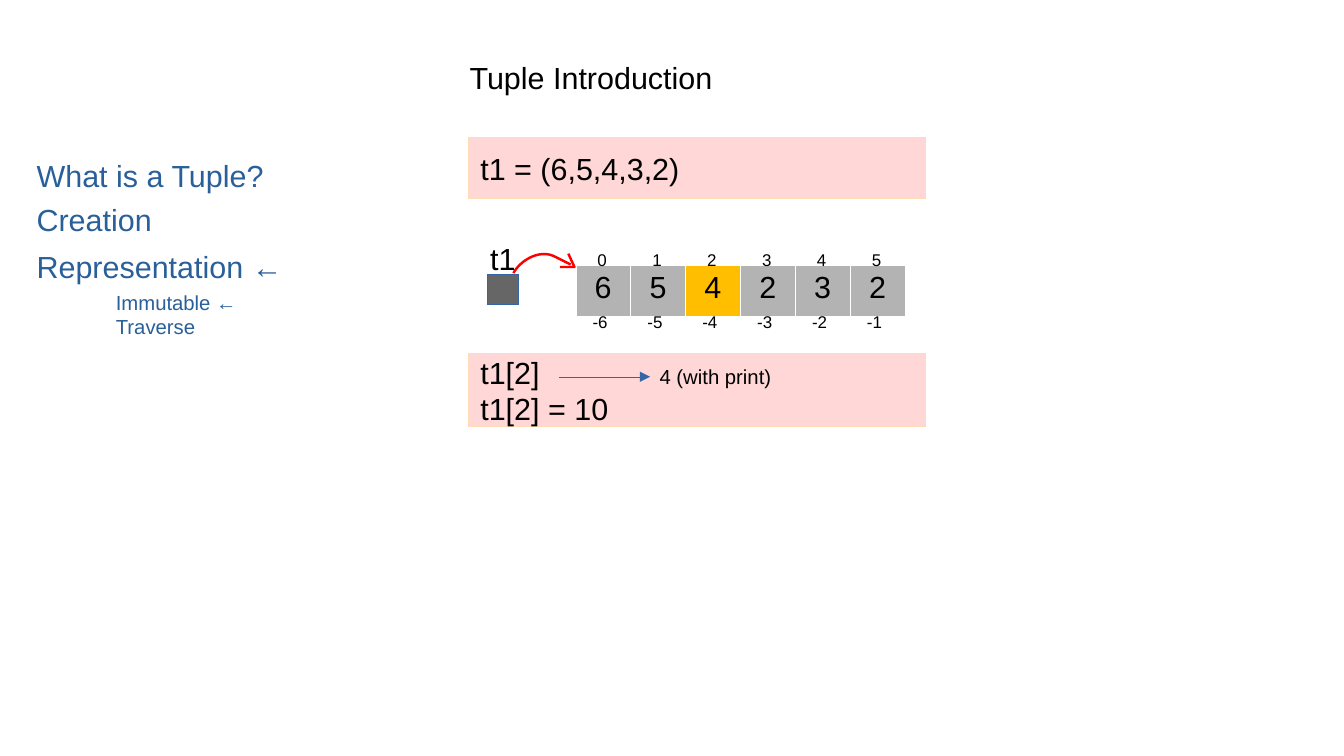
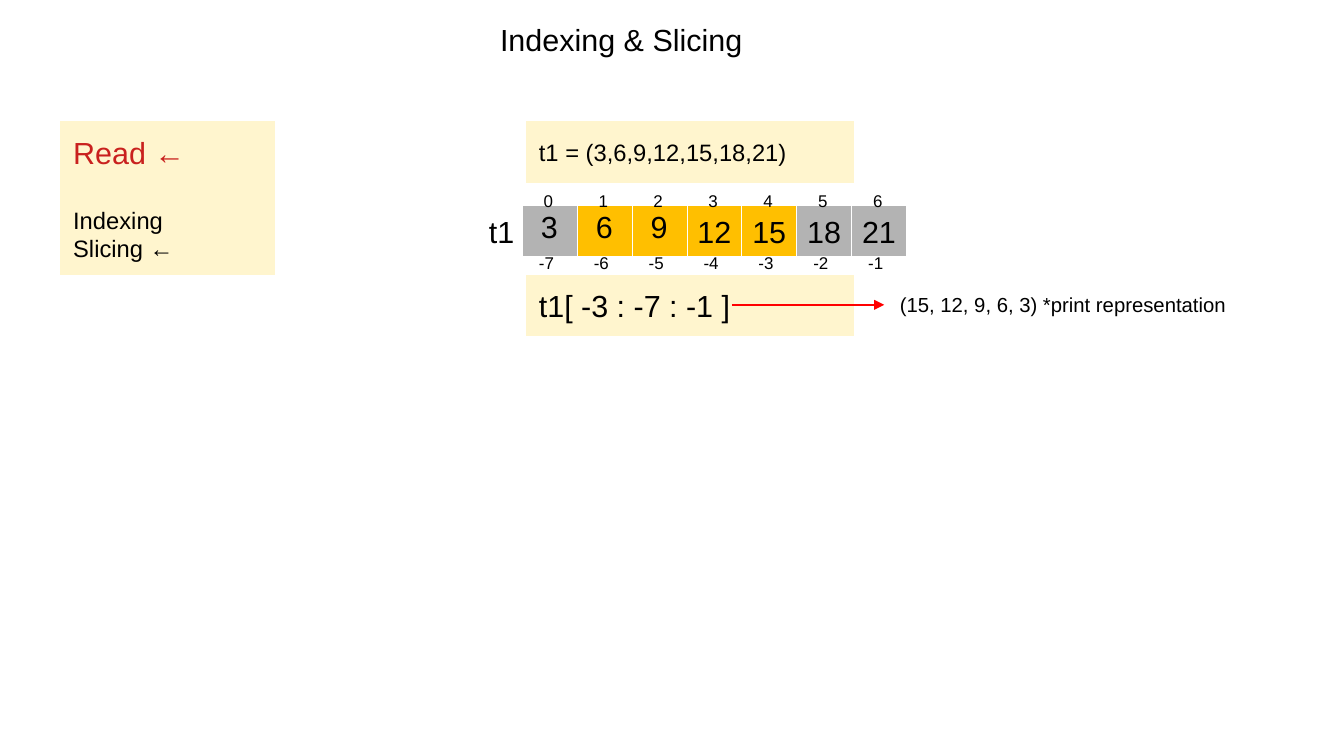
from dataclasses import dataclass

from lxml.etree import SubElement
from pptx import Presentation
from pptx.dml.color import RGBColor
from pptx.enum.shapes import MSO_CONNECTOR, MSO_SHAPE
from pptx.enum.text import MSO_ANCHOR, MSO_AUTO_SIZE, PP_ALIGN
from pptx.oxml.ns import qn
from pptx.util import Inches, Pt


@dataclass(frozen=True)
class Theme:
    """Colours, type sizes and line widths shared by the slides."""

    font: str = "Arial"
    black: str = "000000"
    white: str = "FFFFFF"
    blue: str = "2A6099"
    line_blue: str = "3465A4"
    dark_red: str = "C9211E"
    red: str = "FF0000"
    pink: str = "FFD7D7"
    peach: str = "FFDBB6"
    cream: str = "FFF5CE"
    grey: str = "B3B3B3"
    dark_grey: str = "666666"
    amber: str = "FFBF00"
    large: int = 18
    medium: int = 14
    small: int = 12
    index: int = 10
    stroke: float = 1.45
    hairline: float = 0
    cell_border: float = 0.06


@dataclass(frozen=True)
class ListItem:
    """One line of a list with its style."""

    text: str
    size: int
    color: str
    space_before: float = 0
    indent: float = 0


THEME = Theme()
COLUMN_WIDTH = 0.45
ROW_HEIGHT = 0.42


def rgb(color):
    """Turn a hex string into a colour."""
    return RGBColor.from_string(color)


def place(shape, left, top, width, height):
    """Move and size a shape, in inches."""
    shape.left, shape.top = Inches(left), Inches(top)
    shape.width, shape.height = Inches(width), Inches(height)


def style_line(shape, color, width):
    """Set the line colour and an explicit width, and return the line element."""
    shape.line.color.rgb = rgb(color)
    line = shape._element.spPr.find(qn("a:ln"))
    line.set("w", str(Pt(width)))
    return line


def style_fill(shape, color):
    """Give a shape or cell a solid fill."""
    shape.fill.solid()
    shape.fill.fore_color.rgb = rgb(color)


def format_paragraph(paragraph, size, color=THEME.black, align=PP_ALIGN.LEFT):
    """Set the font and alignment of a paragraph."""
    paragraph.alignment = align
    paragraph.font.name = THEME.font
    paragraph.font.size = Pt(size)
    paragraph.font.color.rgb = rgb(color)


def prepare_frame(shape, anchor=MSO_ANCHOR.TOP):
    """Give a text frame the common wrapping, fitting and anchor."""
    frame = shape.text_frame
    frame.word_wrap = True
    frame.auto_size = MSO_AUTO_SIZE.NONE
    frame.vertical_anchor = anchor
    return frame


def write_text(shape, text, size, anchor=MSO_ANCHOR.TOP):
    """Fill a shape with text in one style."""
    frame = prepare_frame(shape, anchor)
    frame.text = text
    for paragraph in frame.paragraphs:
        format_paragraph(paragraph, size)


def add_slide(presentation, title, left, top):
    """Add a slide with its title placeholder set."""
    slide = presentation.slides.add_slide(presentation.slide_layouts[1])
    place(slide.shapes.title, left, top, 3, 0.38)
    write_text(slide.shapes.title, title, THEME.large)
    return slide


def fill_list(slide, items, box, anchor=MSO_ANCHOR.TOP, fill=None):
    """Write the list items into the body placeholder."""
    body = slide.placeholders[1]
    place(body, *box)
    if fill:
        style_fill(body, fill)
        style_line(body, fill, THEME.hairline)
    frame = prepare_frame(body, anchor)
    frame.text = "\n".join(item.text for item in items)
    for paragraph, item in zip(frame.paragraphs, items):
        properties = paragraph._p.get_or_add_pPr()
        properties.set("marL", str(Inches(item.indent)))
        properties.set("indent", "0")
        SubElement(properties, qn("a:buNone"))
        paragraph.space_before = Pt(item.space_before)
        format_paragraph(paragraph, item.size, item.color)


def add_label(slide, text, left, top, width, size):
    """Add a one-line text box."""
    label = slide.shapes.add_textbox(
        Inches(left), Inches(top), Inches(width), Inches(size / 60 + 0.08))
    write_text(label, text, size)


def add_panel(slide, box, fill, line, text="", size=THEME.large):
    """Add a filled rectangle, with code in it if given."""
    panel = slide.shapes.add_shape(
        MSO_SHAPE.RECTANGLE, *(Inches(length) for length in box))
    panel.shadow.inherit = False
    style_fill(panel, fill)
    style_line(panel, line, THEME.hairline)
    if text:
        write_text(panel, text, size, MSO_ANCHOR.MIDDLE)


def add_arrow(slide, start_x, end_x, y, color, width):
    """Add a horizontal arrow."""
    arrow = slide.shapes.add_connector(
        MSO_CONNECTOR.STRAIGHT, Inches(start_x), Inches(y), Inches(end_x), Inches(y))
    line = style_line(arrow, color, width)
    SubElement(line, qn("a:tailEnd"), type="triangle")
    SubElement(arrow._element.spPr, qn("a:effectLst"))


def bezier_point(controls, t):
    """Return the point at t on a cubic curve."""
    weights = ((1 - t) ** 3, 3 * t * (1 - t) ** 2, 3 * t ** 2 * (1 - t), t ** 3)
    return tuple(sum(weight * point[axis] for weight, point in zip(weights, controls))
                 for axis in (0, 1))


def add_stroke(slide, points):
    """Draw an open red outline through points."""
    start, *rest = [(Inches(x), Inches(y)) for x, y in points]
    builder = slide.shapes.build_freeform(*start)
    builder.add_line_segments(rest, close=False)
    stroke = builder.convert_to_shape()
    stroke.shadow.inherit = False
    stroke.fill.background()
    style_line(stroke, THEME.red, THEME.stroke)


def add_curved_arrow(slide, controls, end, arrowhead):
    """Draw a curve that ends in an open arrowhead."""
    steps = 16
    curve = [bezier_point(controls, step / steps) for step in range(steps + 1)]
    add_stroke(slide, curve + [end])
    add_stroke(slide, arrowhead)


def format_cell(cell, text, fill):
    """Write one table cell with white borders and a fill."""
    properties = cell._tc.get_or_add_tcPr()
    for side in ("lnL", "lnR", "lnT", "lnB"):
        border = SubElement(
            properties, qn(f"a:{side}"), w=str(Pt(THEME.cell_border)))
        solid = SubElement(border, qn("a:solidFill"))
        SubElement(solid, qn("a:srgbClr"), val=THEME.white)
    style_fill(cell, fill)
    cell.text = text
    format_paragraph(cell.text_frame.paragraphs[0], THEME.large, align=PP_ALIGN.CENTER)


def add_tuple_row(slide, values, highlighted, left, top):
    """Add a tuple as a table row with indexes; wide values lie over their cells."""
    count = len(values)
    table = slide.shapes.add_table(
        1, count, Inches(left), Inches(top),
        Inches(COLUMN_WIDTH * count), Inches(ROW_HEIGHT)).table
    table.first_row = table.horz_banding = False
    table.rows[0].height = Inches(ROW_HEIGHT)
    for index, value in enumerate(values):
        table.columns[index].width = Inches(COLUMN_WIDTH)
        fill = THEME.amber if index in highlighted else THEME.grey
        is_wide = value >= 10
        format_cell(table.cell(0, index), "" if is_wide else str(value), fill)
        column_left = left + COLUMN_WIDTH * index
        if is_wide:
            add_label(slide, str(value), column_left - 0.01, top + 0.02, 0.5,
                      THEME.large)
        add_label(slide, str(index), column_left + 0.08, top - 0.17, 0.32, THEME.index)
        add_label(slide, str(index - count), column_left + 0.04, top + 0.34, 0.32,
                  THEME.index)


def build_introduction(presentation):
    """Build the tuple introduction slide."""
    slide = add_slide(presentation, "Tuple Introduction", 3.75, 0.43)
    fill_list(slide, [
        ListItem("What is a Tuple?", THEME.large, THEME.blue),
        ListItem("Creation", THEME.large, THEME.blue, 4.4),
        ListItem("Representation ←", THEME.large, THEME.blue, 6.2),
        ListItem("Immutable ←", THEME.small, THEME.blue, 3, 0.65),
        ListItem("Traverse", THEME.small, THEME.blue, 0, 0.65),
    ], (0.2, 1.24, 2.6, 1.6))
    add_panel(slide, (3.84, 1.13, 3.75, 0.5), THEME.pink, THEME.peach,
              "t1 = (6,5,4,3,2)")
    add_panel(slide, (4, 2.25, 0.25, 0.25), THEME.dark_grey, THEME.line_blue)
    add_label(slide, "t1", 3.92, 1.92, 0.45, THEME.large)
    add_tuple_row(slide, (6, 5, 4, 2, 3, 2), {2}, 4.72, 2.17)
    add_curved_arrow(slide, ((4.21, 2.24), (4.28, 2.12), (4.44, 2.04), (4.56, 2.11)),
                     (4.68, 2.17), ((4.59, 2.19), (4.71, 2.19), (4.66, 2.08)))
    add_panel(slide, (3.84, 2.9, 3.75, 0.6), THEME.pink, THEME.peach,
              "t1[2]\nt1[2] = 10")
    add_arrow(slide, 4.58, 5.33, 3.09, THEME.line_blue, THEME.hairline)
    add_label(slide, "4 (with print)", 5.31, 2.94, 1.3, THEME.small)


def build_slicing(presentation):
    """Build the indexing and slicing slide."""
    slide = add_slide(presentation, "Indexing & Slicing", 4, 0.12)
    fill_list(slide, [
        ListItem("Read ←", THEME.large, THEME.dark_red),
        ListItem("Indexing", THEME.medium, THEME.black, 21),
        ListItem("Slicing ←", THEME.medium, THEME.black),
    ], (0.5, 1, 1.75, 1.25), MSO_ANCHOR.MIDDLE, THEME.cream)
    add_panel(slide, (4.32, 1, 2.68, 0.5), THEME.cream, THEME.cream,
              "t1 = (3,6,9,12,15,18,21)", THEME.medium)
    add_label(slide, "t1", 3.91, 1.7, 0.45, THEME.large)
    add_tuple_row(slide, range(3, 22, 3), range(1, 5), 4.28, 1.68)
    add_panel(slide, (4.32, 2.26, 2.68, 0.49), THEME.cream, THEME.cream,
              "t1[ -3 : -7 : -1 ]")
    add_arrow(slide, 6, 7.25, 2.5, THEME.red, THEME.stroke)
    add_label(slide, "(15, 12, 9, 6, 3) *print representation", 7.28, 2.35, 3,
              THEME.small)


def main():
    """Build and save the presentation."""
    presentation = Presentation()
    presentation.slide_width = Inches(11.02)
    presentation.slide_height = Inches(6.2)
    build_introduction(presentation)
    build_slicing(presentation)
    presentation.save("out.pptx")


if __name__ == "__main__":
    main()
